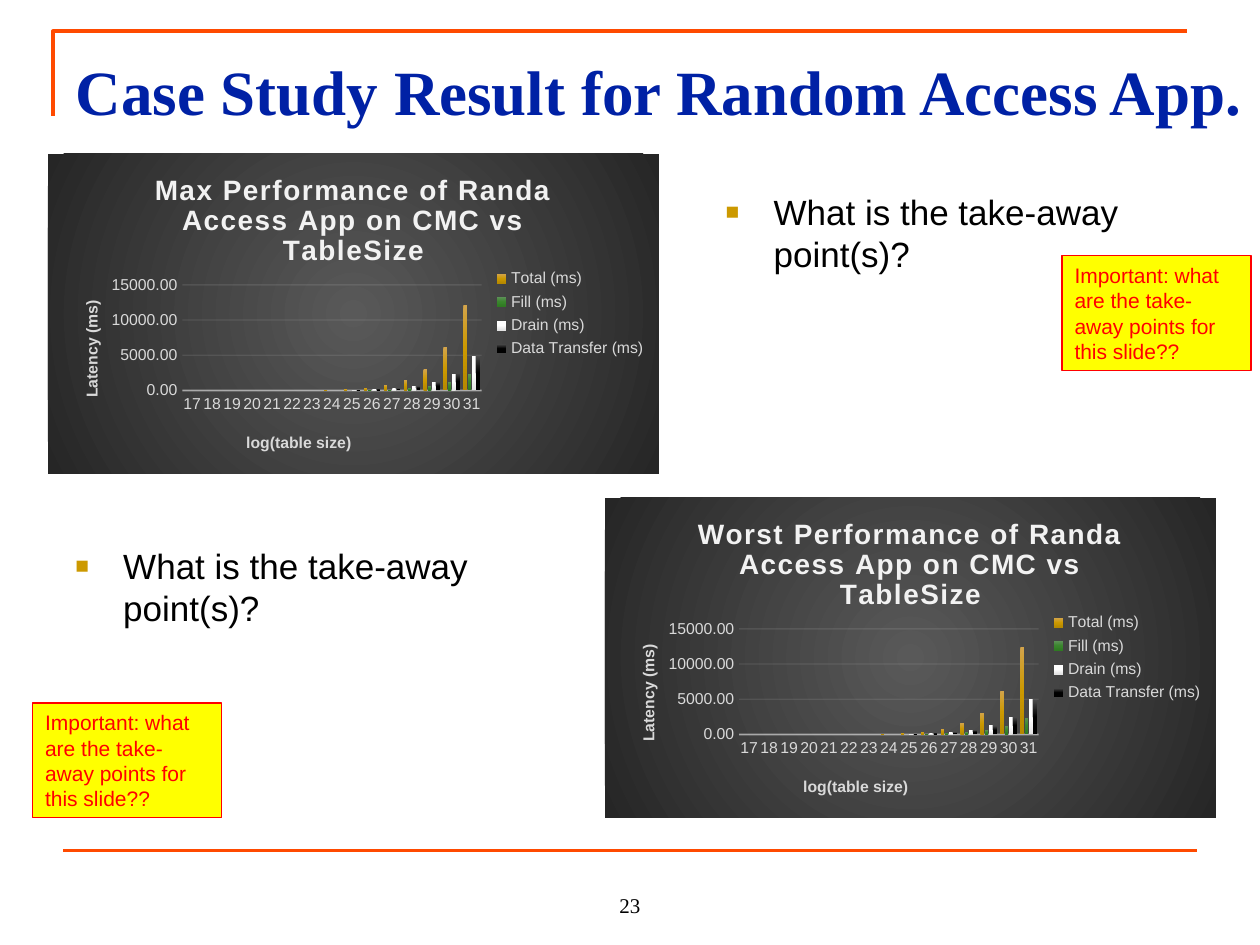
from lxml import etree
from pptx import Presentation
from pptx import util as u
from pptx.chart.data import CategoryChartData
from pptx.dml.color import RGBColor
from pptx.enum import chart as ch, shapes, text
from pptx.oxml import parse_xml
from pptx.oxml.ns import nsdecls, qn

COLORS = {
    "rule": "FF4A00", "title": "0021A5", "ink": "000000", "bullet": "CC9900",
    "note": "FFFF00", "alert": "FF0000", "label": "D9D9D9", "light": "F2F2F2",
}
PANEL = [(0, "595959"), (100, "262626")]
SERIES = {
    "Total (ms)": ["D3A44B", "CC9900", "B58800"],
    "Fill (ms)": ["5B9055", "38852B", "2F7A22"],
    "Drain (ms)": ["FFFFFF", "FFFFFF", "E3E3E3"],
    "Data Transfer (ms)": ["4B4B4B", "000000", "000000"],
}
TABLE_SIZES = range(17, 32)
# Latencies for the largest table sizes; the smaller ones are all zero.
MAX_VALUES = [
    [100, 200, 400, 800, 1500, 3000, 6100, 12100],
    [100, 100, 300, 600, 1200, 2300],
    [100, 200, 300, 600, 1200, 2400, 4900],
    [100, 200, 300, 600, 1200, 2500, 4900],
]
WORST_VALUES = [
    [100, 200, 400, 800, 1600, 3100, 6200, 12400],
    [100, 200, 300, 600, 1200, 2400],
    [100, 200, 300, 600, 1300, 2500, 5000],
    [100, 200, 300, 600, 1200, 2500, 4900],
]


def rgb(name):
    return RGBColor.from_string(COLORS[name])


def write(tf, words, size=12, font="Arial", color="ink", bold=False, align=None):
    p = tf.paragraphs[0]
    p.alignment = align
    r = p.add_run()
    r.text = words
    r.font.size, r.font.name, r.font.bold = u.Pt(size), font, bold
    r.font.color.rgb = rgb(color)
    return r


def gradient(stops, direction):
    gs = "".join(f'<a:gs pos="{pos * 1000}"><a:srgbClr val="{c}"/></a:gs>' for pos, c in stops)
    return parse_xml(f'<a:gradFill {nsdecls("a")} rotWithShape="1">'
                     f'<a:gsLst>{gs}</a:gsLst>{direction}</a:gradFill>')


def layout(x, y, size=""):
    """Manual chart layout, in fractions of the chart."""
    target = '<c:layoutTarget val="inner"/>' if size else ""
    return parse_xml(f'<c:layout {nsdecls("c")}><c:manualLayout>{target}'
                     '<c:xMode val="edge"/><c:yMode val="edge"/>'
                     f'<c:x val="{x}"/><c:y val="{y}"/>{size}</c:manualLayout></c:layout>')


def set_layout(parent, new, after=None):
    for old in parent.findall(qn("c:layout")):
        parent.remove(old)
    if after is None:
        parent.insert(0, new)
    else:
        after.addnext(new)


def set_alpha(line_parent, percent):
    for clr in line_parent.iter(qn("a:srgbClr")):
        etree.SubElement(clr, qn("a:alpha")).set("val", str(percent * 1000))


class Deck:
    def __init__(self):
        self.prs = Presentation()
        self.prs.slide_width, self.prs.slide_height = u.Inches(10), u.Inches(7.5)
        self.s = self.prs.slides.add_slide(self.prs.slide_layouts[1])

    def box(self, *at):
        return [u.Inches(v) for v in at]

    def place(self, sp, *at):
        sp.left, sp.top, sp.width, sp.height = self.box(*at)

    def rule_style(self, sp):
        sp.line.color.rgb, sp.line.width = rgb("rule"), u.Pt(2.25)

    def corner(self, left, top, right, bottom):
        fb = self.s.shapes.build_freeform(u.Inches(left), u.Inches(bottom))
        fb.add_line_segments([self.box(left, top), self.box(right, top)], close=False)
        sp = fb.convert_to_shape()
        sp.fill.background()
        sp.shadow.inherit = False
        self.rule_style(sp)

    def rule(self, x1, x2, y):
        sp = self.s.shapes.add_connector(shapes.MSO_CONNECTOR.STRAIGHT, *self.box(x1, y, x2, y))
        self.rule_style(sp)
        etree.SubElement(sp._element.spPr, qn("a:effectLst"))

    def title(self, words, *at):
        sp = self.s.shapes.title
        self.place(sp, *at)
        tf = sp.text_frame
        tf.auto_size, tf.word_wrap = text.MSO_AUTO_SIZE.NONE, True
        tf.vertical_anchor, tf.margin_top = text.MSO_ANCHOR.TOP, u.Inches(0.12)
        write(tf, words, size=36, font="Times New Roman", color="title", bold=True,
              align=text.PP_ALIGN.LEFT)

    def bullet(self, sp, words, *at):
        self.place(sp, *at)
        tf = sp.text_frame
        tf.word_wrap, tf.auto_size = True, text.MSO_AUTO_SIZE.NONE
        p = tf.paragraphs[0]
        pPr = p._p.get_or_add_pPr()
        pPr.set("marL", str(u.Inches(0.38)))
        pPr.set("indent", str(-u.Inches(0.38)))
        color = etree.SubElement(pPr, qn("a:buClr"))
        etree.SubElement(color, qn("a:srgbClr")).set("val", COLORS["bullet"])
        etree.SubElement(pPr, qn("a:buSzPct")).set("val", "65000")
        etree.SubElement(pPr, qn("a:buFont")).set("typeface", "Arial")
        etree.SubElement(pPr, qn("a:buChar")).set("char", "■")
        p.space_before = u.Pt(0)
        write(tf, words, size=20)

    def note(self, words, left, top):
        sp = self.s.shapes.add_shape(shapes.MSO_SHAPE.RECTANGLE, *self.box(left, top, 1.5, 0.91))
        sp.shadow.inherit = False
        sp.fill.solid()
        sp.fill.fore_color.rgb = rgb("note")
        sp.line.color.rgb, sp.line.width = rgb("alert"), u.Pt(0.75)
        sp.text_frame.word_wrap = True
        write(sp.text_frame, words, color="alert", align=text.PP_ALIGN.LEFT)

    def page_number(self, number, *at):
        tf = self.s.shapes.add_textbox(*self.box(*at)).text_frame
        tf.word_wrap, tf.vertical_anchor = True, text.MSO_ANCHOR.BOTTOM
        write(tf, number, font="Times New Roman", align=text.PP_ALIGN.CENTER)

    def axis(self, axis, words, x, y):
        write(axis.axis_title.text_frame, words, size=9, color="label", bold=True)
        title = axis.axis_title._element
        set_layout(title, layout(x, y), title.find(qn("c:tx")))
        axis.major_tick_mark = axis.minor_tick_mark = ch.XL_TICK_MARK.NONE
        font = axis.tick_labels.font
        font.size, font.name, font.color.rgb = u.Pt(9), "Arial", rgb("label")

    def chart(self, words, values, left, top):
        data = CategoryChartData(number_format="0.00")
        data.categories = [str(n) for n in TABLE_SIZES]
        for name, tail in zip(SERIES, values):
            data.add_series(name, [0] * (len(TABLE_SIZES) - len(tail)) + tail)
        chart = self.s.shapes.add_chart(ch.XL_CHART_TYPE.COLUMN_CLUSTERED,
                                        *self.box(left, top, 4.85, 2.54), data).chart
        chart.font.size, chart.font.name = u.Pt(10), "Arial"
        panel = parse_xml(f'<c:spPr {nsdecls("c", "a")}><a:ln><a:noFill/></a:ln></c:spPr>')
        panel.insert(0, gradient(PANEL, '<a:path path="circle"><a:fillToRect l="50000" '
                                        't="50000" r="50000" b="50000"/></a:path>'))
        chart.element.find(qn("c:txPr")).addprevious(panel)

        r = write(chart.chart_title.text_frame, words, size=16, color="light", bold=True)
        r._r.get_or_add_rPr().set("spc", "100")
        chart.chart_title.include_in_layout = False
        chart.has_legend = True
        chart.legend.position = ch.XL_LEGEND_POSITION.RIGHT
        chart.legend.include_in_layout = False
        font = chart.legend.font
        font.size, font.name, font.color.rgb = u.Pt(9), "Arial", rgb("label")

        cat, val = chart.category_axis, chart.value_axis
        self.axis(cat, "log(table size)", 0.32, 0.86)
        cat.format.line.color.rgb, cat.format.line.width = rgb("light"), u.Pt(1)
        set_alpha(cat._element.find(qn("c:spPr")), 54)
        self.axis(val, "Latency (ms)", 0.05, 0.45)
        body = val.axis_title.text_frame._txBody.bodyPr
        body.set("rot", "-5400000")
        body.set("vert", "horz")
        val.format.line.fill.background()
        val.minimum_scale, val.maximum_scale, val.major_unit = 0, 15000, 5000
        val.tick_labels.number_format = "0.00"
        val.tick_labels.number_format_is_linked = False
        grid = val.major_gridlines.format.line
        grid.color.rgb, grid.width = rgb("light"), u.Pt(0.75)
        set_alpha(val._element.find(qn("c:majorGridlines")), 10)

        plot = chart.plots[0]
        plot.gap_width, plot.overlap, plot.vary_by_categories = 100, -24, False
        for series, shades in zip(plot.series, SERIES.values()):
            series._element.get_or_add_spPr().insert(
                0, gradient(zip((0, 50, 100), shades), '<a:lin ang="5400000" scaled="0"/>'))
        area = chart.element.find(".//" + qn("c:plotArea"))
        set_layout(area, layout(0.22, 0.41, '<c:w val="0.49"/><c:h val="0.33"/>'))


def main():
    deck = Deck()
    takeaway = "What is the take-away point(s)?"
    reminder = "Important: what are the take-away points for this slide??"
    deck.corner(0.42, 0.25, 9.42, 0.92)
    deck.rule(0.5, 9.5, 6.75)
    deck.title("Case Study Result for Random Access App.", 0.5, 0.3, 10.56, 1.03)
    deck.page_number("23", 4, 6.83, 2, 0.5)
    chart_title = "{} Performance of Randa Access App on CMC vs TableSize"
    deck.chart(chart_title.format("Max"), MAX_VALUES, 0.38, 1.22)
    deck.chart(chart_title.format("Worst"), WORST_VALUES, 4.8, 3.95)
    deck.bullet(deck.s.placeholders[1], takeaway, 5.66, 1.46, 3.84, 2.22)
    second = deck.s.shapes.add_textbox(0, 0, 0, 0)
    deck.bullet(second, takeaway, 0.5, 4.27, 3.84, 2.22)
    deck.note(reminder, 8.43, 2.03)
    deck.note(reminder, 0.26, 5.58)
    deck.prs.save("out.pptx")


if __name__ == "__main__":
    main()
